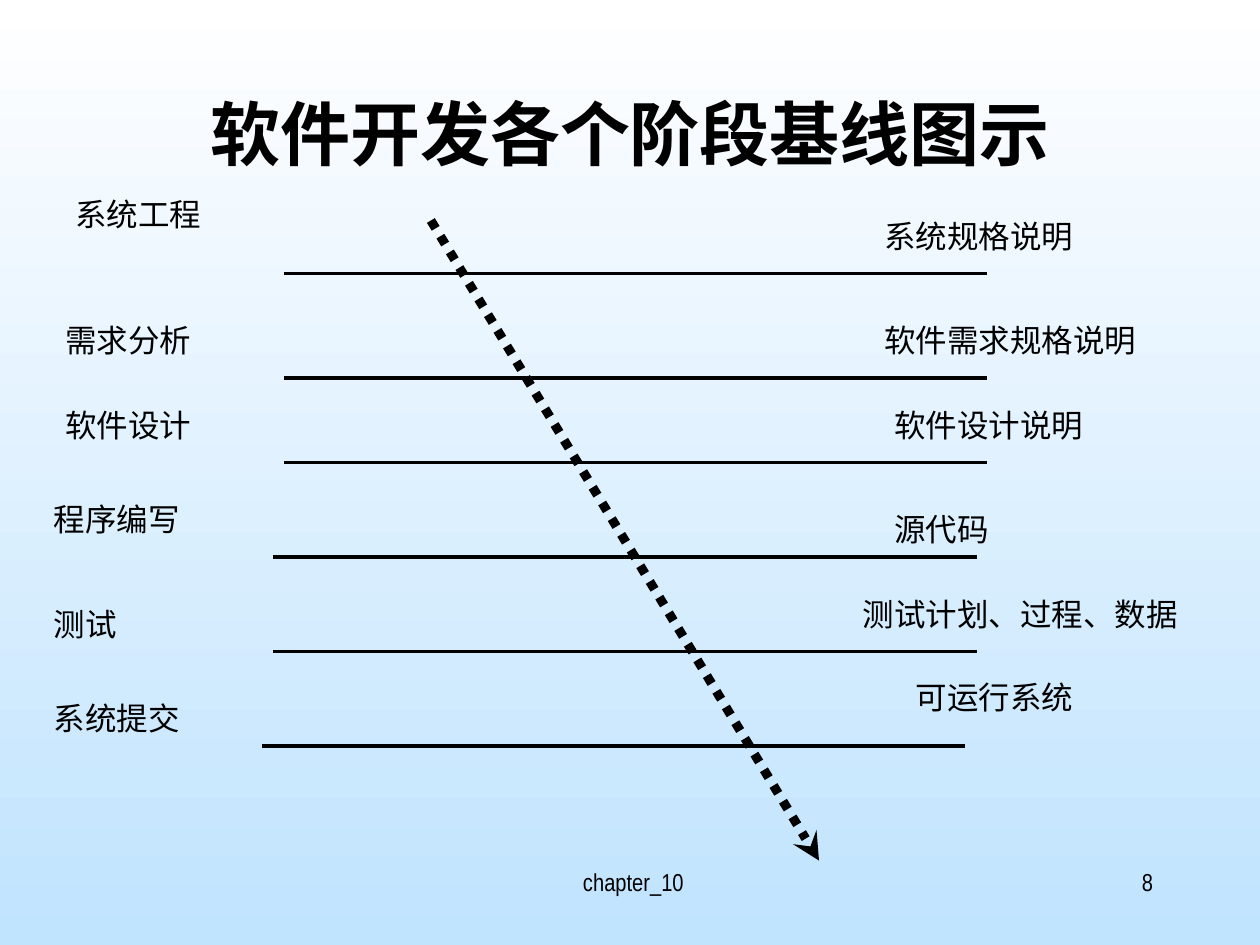
from dataclasses import dataclass

import pptx
import pptx.dml.color
import pptx.enum.dml
import pptx.enum.shapes
import pptx.enum.text
import pptx.oxml
import pptx.oxml.ns
import pptx.util
from pptx.util import Inches

ALIGN = pptx.enum.text.PP_ALIGN


@dataclass(frozen=True)
class Theme:
    ink: str = "000000"
    sky_top: str = "FFFFFF"
    sky_bottom: str = "C0E3FE"
    latin: str = "Arial Narrow"
    cjk: str = "Noto Sans CJK SC"
    title: int = 40
    label: int = 18
    footer: int = 14
    baseline: float = 2
    arrow: float = 5.25


THEME = Theme()

# phase, its (left, top); product, its (left, top, width); baseline (left, y)
STAGES = [
    ("系统工程", (0.5, 1.5), "系统规格说明", (6.92, 1.67, 2.58), (2.25, 2.17)),
    ("需求分析", (0.42, 2.5), "软件需求规格说明", (6.92, 2.5, 2.58), (2.25, 3)),
    ("软件设计", (0.42, 3.17), "软件设计说明", (7, 3.17, 2.58), (2.25, 3.67)),
    ("程序编写", (0.33, 3.92), "源代码", (7, 4, 2.58), (2.17, 4.42)),
    ("测试", (0.33, 4.75), "测试计划、过程、数据", (6.75, 4.67, 2.83), (2.17, 5.17)),
    ("系统提交", (0.33, 5.5), "可运行系统", (7.17, 5.33, 2.58), (2.08, 5.92)),
]
PHASE_WIDTH = 2.58
LABEL_HEIGHT = 0.4
BASELINE_LENGTH = 5.58


def rgb(value):
    return pptx.dml.color.RGBColor.from_string(value)


def fill_background(s):
    fill = s.background.fill
    fill.gradient()
    fill.gradient_angle = 270
    for stop, color in zip(fill.gradient_stops, (THEME.sky_top, THEME.sky_bottom)):
        stop.color.rgb = rgb(color)


def write(sp, text, size, align, font=THEME.latin, bold=False):
    """Put one formatted paragraph at the top of a shape."""
    tf = sp.text_frame
    tf.word_wrap = True
    tf.vertical_anchor = pptx.enum.text.MSO_ANCHOR.TOP
    tf.text = text
    p = tf.paragraphs[0]
    p.alignment = align
    r = p.runs[0]
    r.font.name = font
    r.font.size = pptx.util.Pt(size)
    r.font.bold = bold
    r.font.color.rgb = rgb(THEME.ink)
    ea = pptx.oxml.parse_xml(
        f'<a:ea {pptx.oxml.ns.nsdecls("a")} typeface="{THEME.cjk}"/>')
    r.font._element.find(pptx.oxml.ns.qn("a:latin")).addnext(ea)
    return p


def add_title(s, text):
    sp = s.shapes.title
    sp.left, sp.top = Inches(0.75), Inches(0.67)
    sp.width, sp.height = Inches(8.5), Inches(1.25)
    write(sp, text, THEME.title, ALIGN.CENTER, THEME.cjk, True)


def add_footer(s, text, left, width, align):
    sp = s.shapes.add_textbox(Inches(left), Inches(6.83), Inches(width), Inches(0.5))
    write(sp, text, THEME.footer, align)


def add_label(s, text, left, top, width):
    sp = s.shapes.add_textbox(
        Inches(left), Inches(top), Inches(width), Inches(LABEL_HEIGHT))
    p = write(sp, text, THEME.label, ALIGN.LEFT)
    p.space_before = pptx.util.Pt(11.2)
    sp.text_frame.auto_size = pptx.enum.text.MSO_AUTO_SIZE.SHAPE_TO_FIT_TEXT


def add_line(s, x1, y1, x2, y2, weight):
    line = s.shapes.add_connector(
        pptx.enum.shapes.MSO_CONNECTOR.STRAIGHT,
        Inches(x1), Inches(y1), Inches(x2), Inches(y2))
    line.line.color.rgb = rgb(THEME.ink)
    line.line.width = pptx.util.Pt(weight)
    line._element.spPr.append(
        pptx.oxml.parse_xml(f'<a:effectLst {pptx.oxml.ns.nsdecls("a")}/>'))
    return line


def add_dotted_arrow(s, x1, y1, x2, y2):
    arrow = add_line(s, x1, y1, x2, y2, THEME.arrow)
    arrow.line.dash_style = pptx.enum.dml.MSO_LINE.ROUND_DOT
    arrow.get_or_add_ln().append(pptx.oxml.parse_xml(
        f'<a:tailEnd {pptx.oxml.ns.nsdecls("a")} type="stealth"/>'))


def main():
    prs = pptx.Presentation()
    prs.slide_width, prs.slide_height = Inches(10), Inches(7.5)
    s = prs.slides.add_slide(prs.slide_layouts.get_by_name("Title Only"))
    fill_background(s)
    add_footer(s, " chapter_10", 3.42, 3.17, ALIGN.CENTER)
    add_footer(s, "8", 7.17, 2.08, ALIGN.RIGHT)
    add_title(s, "软件开发各个阶段基线图示")
    for phase, phase_at, product, product_at, (left, y) in STAGES:
        add_line(s, left, y, left + BASELINE_LENGTH, y, THEME.baseline)
        add_label(s, phase, *phase_at, PHASE_WIDTH)
        add_label(s, product, *product_at)
    add_dotted_arrow(s, 3.42, 1.75, 6.5, 6.83)
    prs.save("out.pptx")


if __name__ == "__main__":
    main()
